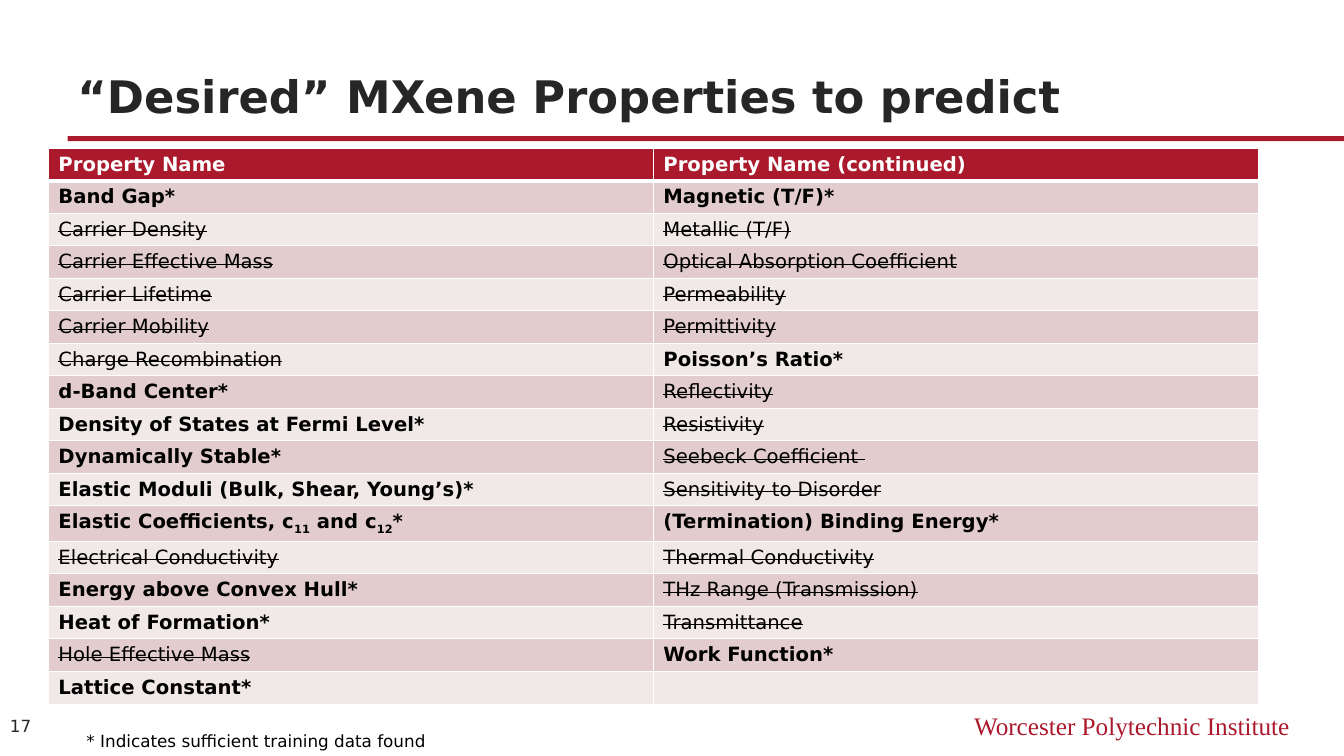
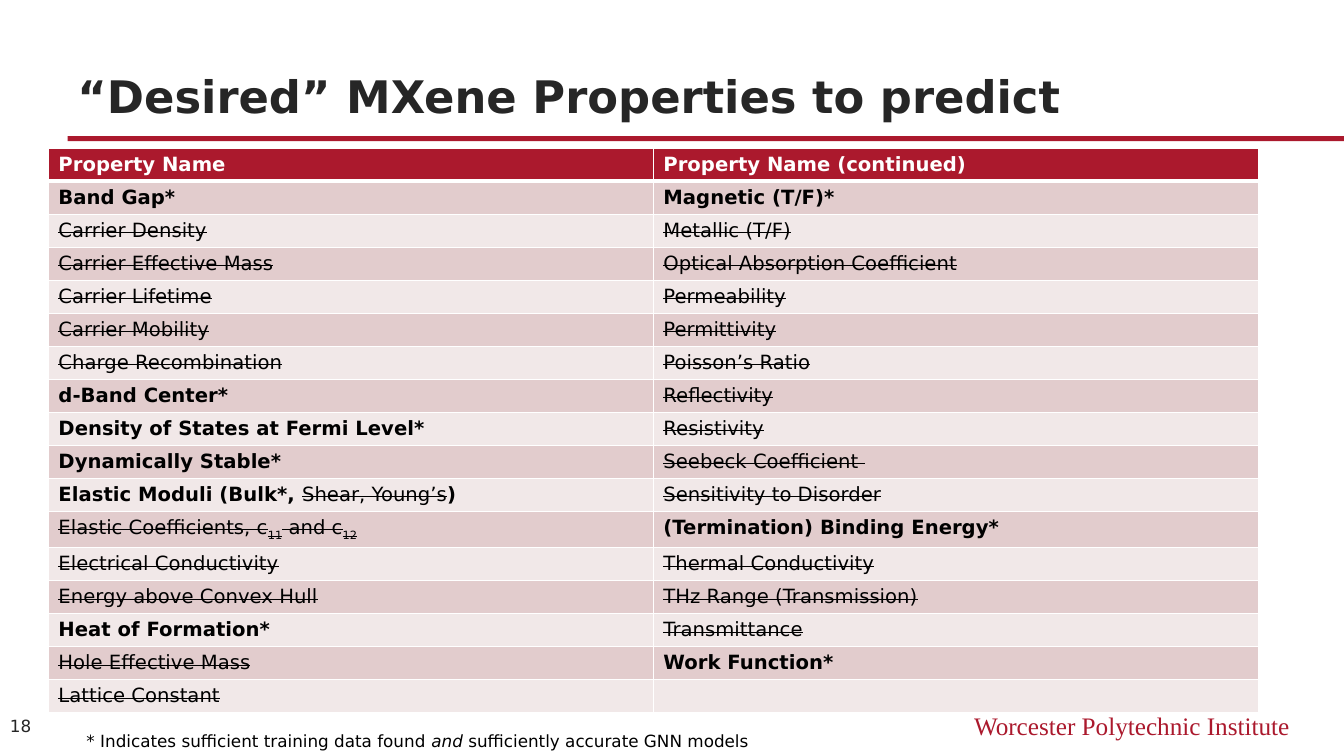
"""Build two slides listing the MXene properties to predict."""
from lxml import etree
from pptx import Presentation
from pptx.dml.color import RGBColor
from pptx.enum import shapes, text
from pptx.oxml.ns import qn
from pptx.util import Inches, Pt

COLORS = {"red": "AB192D", "dark": "262626", "black": "000000", "white": "FFFFFF",
          "band": "E2CCCD", "light": "F1E8E8"}
SANS, SERIF = "DejaVu Sans", "Times New Roman"
TITLE = "“Desired” MXene Properties to predict"
INSTITUTE = "Worcester Polytechnic Institute"
HEADER = ("Property Name", "Property Name (continued)")

KEPT, STRUCK = {"bold": True}, {"strike": True}
SUB = {"base": "-25000"}


def coefficients(style):
    return [("Elastic Coefficients, c", style), ("11", style | SUB),
            (" and c", style), ("12", style | SUB)]


PROPERTIES = [
    ("Band Gap*", "Magnetic (T/F)*"),
    ("Carrier Density", "Metallic (T/F)"),
    ("Carrier Effective Mass", "Optical Absorption Coefficient"),
    ("Carrier Lifetime", "Permeability"),
    ("Carrier Mobility", "Permittivity"),
    ("Charge Recombination", "Poisson’s Ratio*"),
    ("d-Band Center*", "Reflectivity"),
    ("Density of States at Fermi Level*", "Resistivity"),
    ("Dynamically Stable*", "Seebeck Coefficient "),
    ("Elastic Moduli (Bulk, Shear, Young’s)*", "Sensitivity to Disorder"),
    ("Elastic Coefficients*", "(Termination) Binding Energy*"),
    ("Electrical Conductivity", "Thermal Conductivity"),
    ("Energy above Convex Hull*", "THz Range (Transmission)"),
    ("Heat of Formation*", "Transmittance"),
    ("Hole Effective Mass", "Work Function*"),
    ("Lattice Constant*", ""),
]
NOTE = "* Indicates sufficient training data found"
SLIDES = [
    {"number": 17, "note": [(NOTE, {})],
     "changes": {"Elastic Coefficients*": coefficients(KEPT) + [("*", KEPT)]}},
    {"number": 18,
     "note": [(NOTE, {}), (" and", {"italic": True}), (" sufficiently accurate GNN models", {})],
     "changes": {
         "Poisson’s Ratio*": "Poisson’s Ratio",
         "Elastic Moduli (Bulk, Shear, Young’s)*": [
             ("Elastic Moduli (Bulk*, ", KEPT), ("Shear, Young’s", STRUCK), (")", KEPT)],
         "Elastic Coefficients*": coefficients(STRUCK),
         "Energy above Convex Hull*": "Energy above Convex Hull",
         "Lattice Constant*": "Lattice Constant"}},
]


def rgb(name):
    return RGBColor.from_string(COLORS[name])


def add_runs(p, runs, size, color, font=SANS):
    for words, style in runs:
        r = p.add_run()
        r.text = words
        r.font.name, r.font.size = font, Pt(size)
        r.font.color.rgb = rgb(color)
        r.font.bold = style.get("bold", False)
        r.font.italic = style.get("italic", False)
        rPr = r._r.get_or_add_rPr()
        if style.get("strike"):
            rPr.set("strike", "sngStrike")
        if "base" in style:
            rPr.set("baseline", style["base"])


def add_text(s, box, runs, size, color, font=SANS, anchor="TOP", align="LEFT"):
    tf = s.shapes.add_textbox(*map(Inches, box)).text_frame
    tf.word_wrap = True
    tf.vertical_anchor = getattr(text.MSO_ANCHOR, anchor)
    p = tf.paragraphs[0]
    p.alignment = getattr(text.PP_ALIGN, align)
    add_runs(p, runs, size, color, font)


def add_borders(cell, top, bottom):
    tcPr = cell._tc.get_or_add_tcPr()
    for side, width in zip("LRTB", (1, 1, top, bottom)):
        ln = etree.SubElement(tcPr, qn(f"a:ln{side}"), w=str(Pt(width)))
        fill = etree.SubElement(ln, qn("a:solidFill"))
        etree.SubElement(fill, qn("a:srgbClr"), val=COLORS["white"])


def cell_runs(content):
    if isinstance(content, list):
        return content
    return [(content, KEPT if content.endswith("*") else STRUCK)] if content else []


def add_table(s, changes):
    rows = [[[(name, KEPT)] for name in HEADER]]
    rows += [[cell_runs(changes.get(name, name)) for name in pair] for pair in PROPERTIES]
    height = Inches(0.32)
    table = s.shapes.add_table(len(rows), len(HEADER), Inches(0.48), Inches(1.47),
                               Inches(12), height * len(rows)).table
    for i, row in enumerate(rows):
        table.rows[i].height = height
        background = "red" if i == 0 else "band" if i % 2 else "light"
        for j, runs in enumerate(row):
            cell = table.cell(i, j)
            cell.margin_top = cell.margin_bottom = Pt(3.4)
            add_borders(cell, 3 if i == 1 else 1, 3 if i == 0 else 1)
            cell.fill.solid()
            cell.fill.fore_color.rgb = rgb(background)
            p = cell.text_frame.paragraphs[0]
            add_runs(p, runs, 14, "black" if i else "white")
            if not runs:
                etree.SubElement(p._p, qn("a:endParaRPr"), sz="1400")


def add_frame(s, number):
    rule = s.shapes.add_shape(shapes.MSO_SHAPE.RECTANGLE, Inches(0.67), Inches(1.35),
                              Inches(12.67), Inches(0.05))
    rule.shadow.inherit = False
    rule.fill.solid()
    rule.fill.fore_color.rgb = rgb("red")
    rule.line.fill.background()
    add_text(s, (8, 7, 4.89, 0.4), [(INSTITUTE, {})], 18, "red", SERIF, align="RIGHT")
    add_text(s, (0.67, 0.38, 12, 0.88), [(TITLE, KEPT)], 32, "dark", anchor="BOTTOM")
    add_text(s, (0, 6.99, 0.67, 0.43), [(str(number), {})], 12, "dark", anchor="MIDDLE")


def main():
    prs = Presentation()
    prs.slide_width, prs.slide_height = Inches(13.33), Inches(7.5)
    for content in SLIDES:
        s = prs.slides.add_slide(prs.slide_layouts[6])
        add_table(s, content["changes"])
        add_frame(s, content["number"])
        add_text(s, (0.76, 7.2, 7.1, 0.3), content["note"], 12, "black")
    prs.save("out.pptx")


if __name__ == "__main__":
    main()
